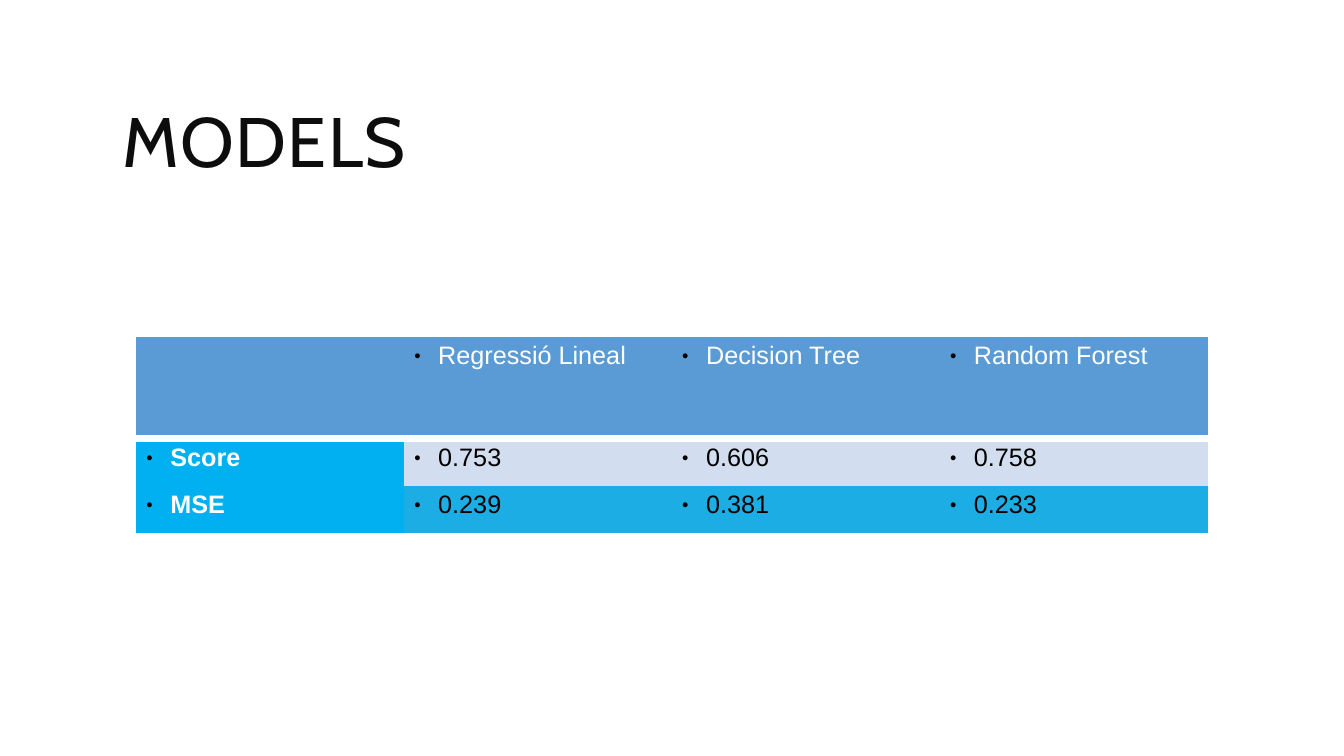
"""Build a slide comparing the score and MSE of three models."""
from pptx import Presentation
from pptx.dml.color import RGBColor
from pptx.enum.text import MSO_ANCHOR
from pptx.oxml import parse_xml
from pptx.oxml.ns import nsdecls, qn
from pptx.util import Pt

HEADING = "MODELS"
RESULTS = [
    ("", "Regressió Lineal", "Decision Tree", "Random Forest"),
    ("Score", "0.753", "0.606", "0.758"),
    ("MSE", "0.239", "0.381", "0.233"),
]

INK = RGBColor(0x0D, 0x0D, 0x0D)
BLACK = RGBColor(0, 0, 0)
WHITE = RGBColor(0xFF, 0xFF, 0xFF)
HEADER_BLUE = RGBColor(0x5B, 0x9B, 0xD5)
LABEL_BLUE = RGBColor(0x00, 0xB0, 0xF0)
ROW_FILLS = [HEADER_BLUE, RGBColor(0xD2, 0xDE, 0xEF), RGBColor(0x1C, 0xAD, 0xE4)]

WIDTH = 765.36
ROW_HEIGHTS = [72.72, 33.84, 33.84]
HANG = Pt(17.28)
NO_STYLE = "{2D5ABB26-0587-4C30-8999-92F81FD0307C}"
BULLET = [
    f'<a:buClr {nsdecls("a")}><a:srgbClr val="{BLACK}"/></a:buClr>',
    f'<a:buSzPct {nsdecls("a")} val="45000"/>',
    f'<a:buFont {nsdecls("a")} typeface="Arial"/>',
    f'<a:buChar {nsdecls("a")} char="●"/>',
]
HEADER_RULE = (
    f'<a:lnB {nsdecls("a")} w="{Pt(6)}"><a:solidFill>'
    f'<a:srgbClr val="{WHITE}"/></a:solidFill></a:lnB>'
)


def style(font, name, size, color, bold=False):
    font.name, font.size, font.bold = name, Pt(size), bold
    font.color.rgb = color


def add_heading(slide):
    heading = slide.shapes.add_textbox(Pt(80.64), Pt(46.08), Pt(WIDTH), Pt(118.08))
    frame = heading.text_frame
    frame.word_wrap = True
    frame.vertical_anchor = MSO_ANCHOR.MIDDLE
    frame.text = HEADING
    line = frame.paragraphs[0]
    line.line_spacing = 0.8
    style(line.runs[0].font, "Cabin", 50, INK)
    line.runs[0].font._element.set("spc", "100")


def fill_cell(cell, text, row, column):
    is_header, is_label = row == 0, column == 0
    cell.fill.solid()
    cell.fill.fore_color.rgb = LABEL_BLUE if is_label and not is_header else ROW_FILLS[row]
    if is_header:
        cell._tc.get_or_add_tcPr().insert(0, parse_xml(HEADER_RULE))
    if not text:
        return
    cell.text_frame.text = text
    line = cell.text_frame.paragraphs[0]
    properties = line._p.get_or_add_pPr()
    properties.set("marL", str(HANG))
    properties.set("indent", str(-HANG))
    for part in BULLET:
        properties.append(parse_xml(part))
    color = WHITE if is_header or is_label else BLACK
    style(line.runs[0].font, "Arial", 18, color, is_label)


def add_results(slide):
    rows, columns = len(RESULTS), len(RESULTS[0])
    frame = slide.shapes.add_table(
        rows, columns, Pt(97.2), Pt(240.48), Pt(WIDTH), Pt(sum(ROW_HEIGHTS))
    )
    results = frame.table
    results.first_row = results.horz_banding = False
    next(results._tbl.iter(qn("a:tableStyleId"))).text = NO_STYLE
    for column in results.columns:
        column.width = Pt(WIDTH / columns)
    for row, (height, texts) in enumerate(zip(ROW_HEIGHTS, RESULTS)):
        results.rows[row].height = Pt(height)
        for column, text in enumerate(texts):
            fill_cell(results.cell(row, column), text, row, column)


def main():
    deck = Presentation()
    deck.slide_width, deck.slide_height = Pt(960), Pt(540)
    slide = deck.slides.add_slide(deck.slide_layouts[6])
    add_heading(slide)
    add_results(slide)
    deck.save("out.pptx")


if __name__ == "__main__":
    main()
